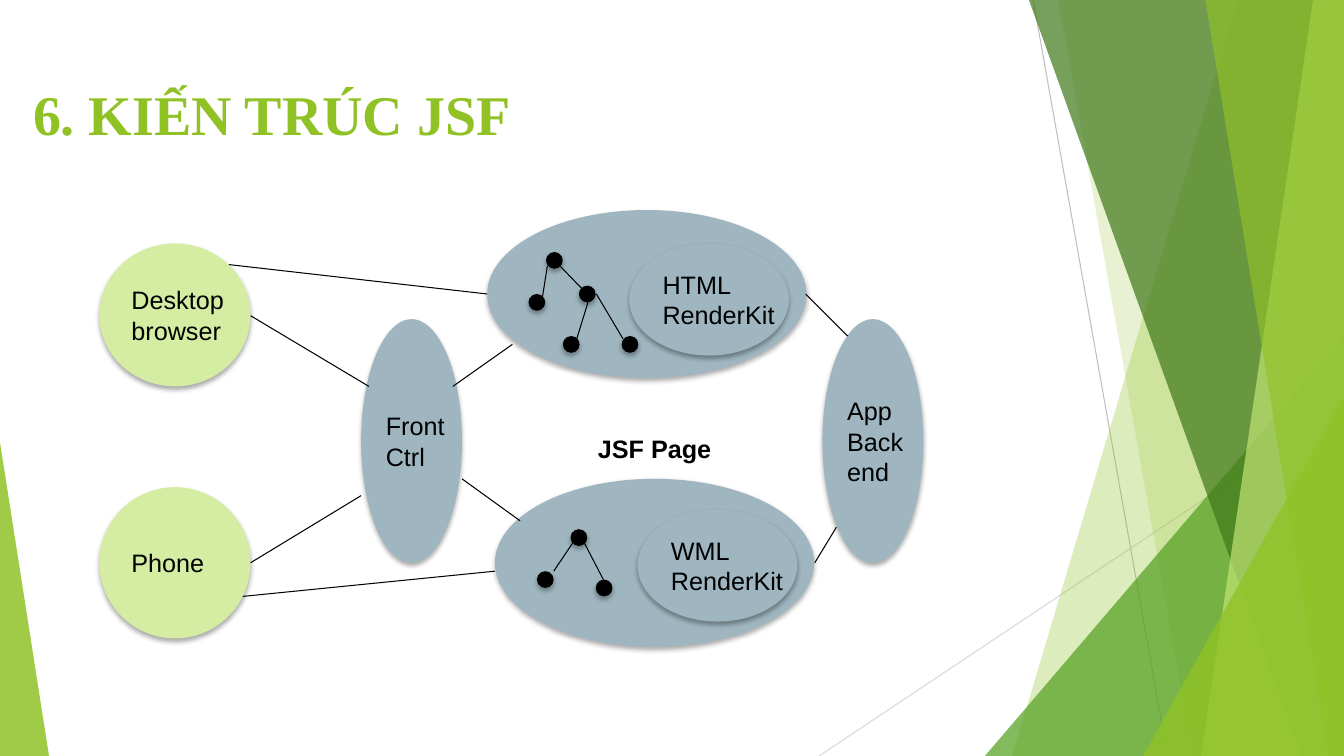
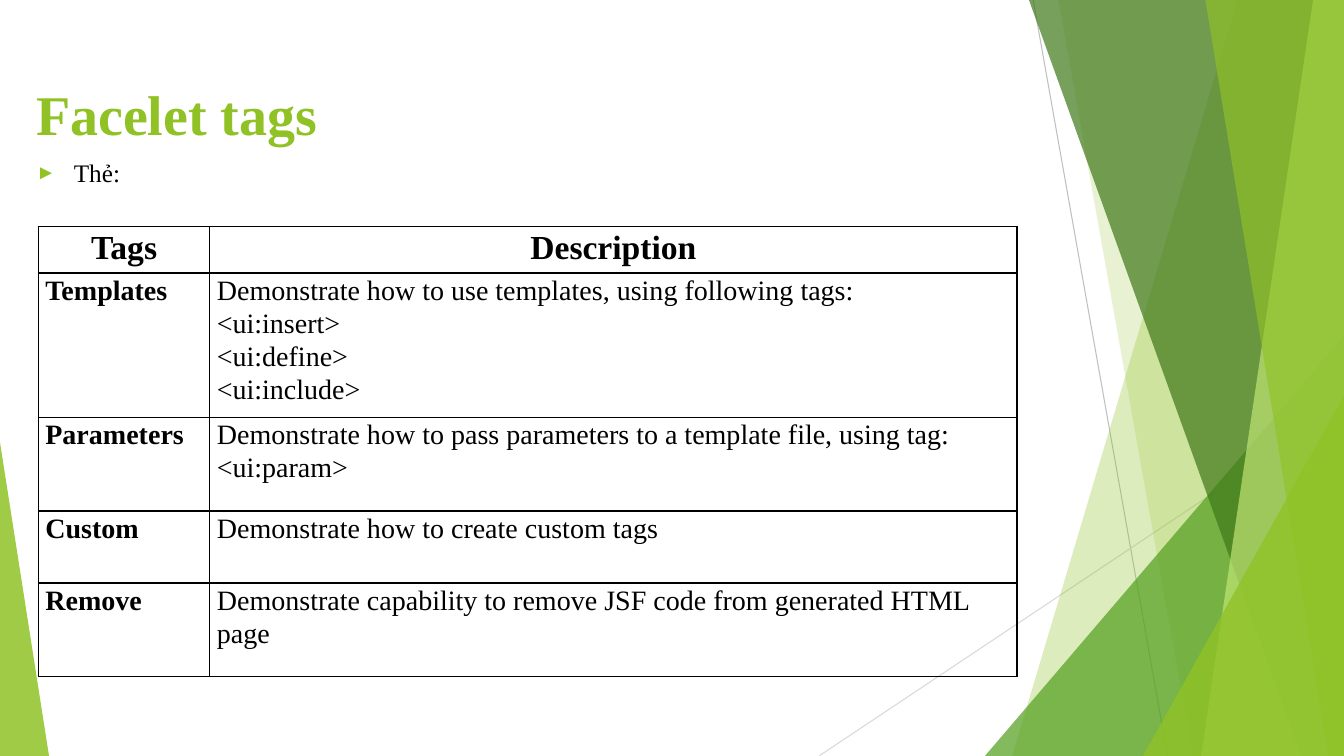
import lxml.etree
import pptx
import pptx.dml.color
import pptx.enum.shapes
import pptx.enum.text
import pptx.oxml.ns
import pptx.util

Pt = pptx.util.Pt
RGBColor = pptx.dml.color.RGBColor
Shape = pptx.enum.shapes.MSO_SHAPE
Align = pptx.enum.text.PP_ALIGN
Anchor = pptx.enum.text.MSO_ANCHOR
qn = pptx.oxml.ns.qn

WIDTH, HEIGHT = 960, 540
GREEN = RGBColor(0x90, 0xC2, 0x26)
MID_GREEN = RGBColor(0x54, 0xA0, 0x21)
DARK_GREEN = RGBColor(0x3F, 0x78, 0x19)
LIGHT_GREEN = RGBColor(0xC0, 0xE4, 0x74)
CLIENT_GREEN = RGBColor(0xD5, 0xED, 0xA2)
BLUE_GREY = RGBColor(0x9F, 0xB6, 0xC0)
GREY = RGBColor(0xBF, 0xBF, 0xBF)
PALE_GREY = RGBColor(0xD9, 0xD9, 0xD9)
BLACK = RGBColor(0, 0, 0)
SERIF, SANS = "Times New Roman", "Arial"


# Basic parts
def add_xml(parent, tag, **attributes):
    texts = {name: str(value) for name, value in attributes.items()}
    return lxml.etree.SubElement(parent, qn(tag), texts)


def paint(shape, color, opacity=100):
    shape.shadow.inherit = False
    shape.line.fill.background()
    shape.fill.solid()
    shape.fill.fore_color.rgb = color
    if opacity < 100:
        color_node = shape._element.spPr.find(qn("a:solidFill"))[0]
        add_xml(color_node, "a:alpha", val=opacity * 1000)


def add_line(slide, start, end, color=BLACK):
    line = slide.shapes.add_connector(
        pptx.enum.shapes.MSO_CONNECTOR.STRAIGHT,
        *(Pt(value) for value in (*start, *end)))
    line.line.color.rgb = color
    line.line.width = Pt(0.75)
    add_xml(line._element.spPr, "a:effectLst")


def write(text_frame, text, size, font=SERIF, bold=False, color=BLACK,
          align=Align.LEFT, spacing=None):
    text_frame.text = text
    for paragraph in text_frame.paragraphs:
        paragraph.alignment = align
        paragraph.line_spacing = spacing
        for run in paragraph.runs:
            run.font.size = Pt(size)
            run.font.name = font
            run.font.bold = bold
            run.font.color.rgb = color


def add_text(slide, box, text, size, margin_top=3.6, **style):
    text_box = slide.shapes.add_textbox(*(Pt(value) for value in box))
    text_frame = text_box.text_frame
    text_frame.word_wrap = True
    text_frame.margin_top = Pt(margin_top)
    write(text_frame, text, size, **style)
    return text_frame


def add_ellipse(slide, box, color, text=""):
    ellipse = slide.shapes.add_shape(Shape.OVAL, *(Pt(value) for value in box))
    paint(ellipse, color)
    effects = ellipse._element.spPr.find(qn("a:effectLst"))
    shadow = add_xml(effects, "a:outerShdw", blurRad=Pt(3.5), dist=Pt(2.2),
                     dir=5400000, rotWithShape=0)
    shadow_color = add_xml(shadow, "a:srgbClr", val=BLACK)
    add_xml(shadow_color, "a:alpha", val=32000)
    if text:
        ellipse.text_frame.word_wrap = False
        ellipse.text_frame.vertical_anchor = Anchor.MIDDLE
        write(ellipse.text_frame, text, 18, SANS)


# Shared background and title
def add_band(slide, top_left, top_right, bottom_right, bottom_left, color, opacity):
    outline = slide.shapes.build_freeform(Pt(top_left), 0)
    outline.add_line_segments([(Pt(top_right), 0), (Pt(bottom_right), Pt(HEIGHT)),
                               (Pt(bottom_left), Pt(HEIGHT))])
    paint(outline.convert_to_shape(), color, opacity)


def add_corner(slide, left, top, width, peak, color, opacity):
    corner = slide.shapes.add_shape(Shape.ISOSCELES_TRIANGLE, Pt(left), Pt(top),
                                    Pt(width), Pt(HEIGHT - top))
    corner.adjustments[0] = peak
    paint(corner, color, opacity)


def add_background(slide):
    add_line(slide, (738, 0), (834, HEIGHT), GREY)
    add_line(slide, (WIDTH, 290), (585, HEIGHT), PALE_GREY)
    add_band(slide, 884, WIDTH, WIDTH, 723, GREEN, 30)
    add_band(slide, 756, WIDTH, WIDTH, 852, GREEN, 20)
    add_corner(slide, 703.5, 240, 256.5, 1, MID_GREEN, 72)
    add_band(slide, 735, WIDTH, WIDTH, 929.5, DARK_GREEN, 70)
    add_band(slide, 938, WIDTH, WIDTH, 858, LIGHT_GREEN, 70)
    add_band(slide, 861, WIDTH, WIDTH, 949, GREEN, 65)
    add_corner(slide, 816.5, 283, 143.5, 1, GREEN, 80)
    add_corner(slide, 0, 316, 35, 0, GREEN, 85)


def add_titled_slide(presentation, title, left):
    slide = presentation.slides.add_slide(presentation.slide_layouts[6])
    add_background(slide)
    add_text(slide, (left, 48, 677, 104), title, 40, margin_top=9,
             bold=True, color=GREEN)
    return slide


# Architecture diagram
def add_page(slide, left, top, kit, kit_offset, nodes, edges):
    add_ellipse(slide, (left, top, 228, 120), BLUE_GREY)
    kit_x, kit_y = kit_offset
    add_ellipse(slide, (left + kit_x, top + kit_y, 114, 80), BLUE_GREY, kit)
    for x, y in nodes:
        add_ellipse(slide, (left + x, top + y, 12, 12), BLACK)
    for x1, y1, x2, y2 in edges:
        add_line(slide, (left + x1, top + y1), (left + x2, top + y2))


def add_architecture(slide, left, top):
    add_page(slide, left + 277, top, "HTML\nRenderKit", (101.5, 24),
             [(42, 30), (29.5, 60), (65.5, 54), (54, 90), (96, 90)],
             [(43, 40, 39.5, 62), (52, 40, 67.5, 56),
              (72, 66, 64, 92), (78, 60, 97, 92)])
    add_page(slide, left + 282.5, top + 192, "WML\nRenderKit", (102, 22),
             [(54, 36), (30, 66), (72, 72)],
             [(55.5, 46, 42, 66), (64, 46, 77.5, 72)])

    parts = [
        (187, 78, 72, 174, BLUE_GREY, "Front\nCtrl"),
        (516.5, 78, 72, 174, BLUE_GREY, "App\nBack\nend"),
        (0, 24, 108, 102, CLIENT_GREEN, "Desktop\nbrowser"),
        (0, 198, 108, 108, CLIENT_GREEN, "Phone"),
    ]
    for x, y, width, height, color, text in parts:
        add_ellipse(slide, (left + x, top + y, width, height), color, text)
    add_text(slide, (left + 349, top + 156, 102, 29), "JSF Page", 18,
             font=SANS, bold=True)

    links = [
        (92.5, 39, 277, 60), (108, 75.5, 192.5, 126),
        (108, 252, 187, 204), (252.5, 126, 295, 96),
        (259, 192, 300.5, 222), (102.5, 276, 282.5, 258),
        (504.5, 60, 534.5, 90), (511, 252, 526.5, 226.5),
    ]
    for x1, y1, x2, y2 in links:
        add_line(slide, (left + x1, top + y1), (left + x2, top + y2))


# Bullet and tag table
def add_bullet(slide, box, text):
    text_frame = add_text(slide, box, text, 18, margin_top=6)
    properties = text_frame.paragraphs[0]._p.get_or_add_pPr()
    properties.set("marL", str(Pt(27)))
    properties.set("indent", str(-Pt(27)))
    bullet_color = add_xml(properties, "a:buClr")
    add_xml(bullet_color, "a:srgbClr", val=GREEN)
    add_xml(properties, "a:buSzPct", val=80000)
    add_xml(properties, "a:buFont", typeface=SANS)
    add_xml(properties, "a:buChar", char="►")


def style_cell(cell):
    cell.margin_left = cell.margin_right = Pt(5)
    cell.margin_top = cell.margin_bottom = 0
    properties = cell._tc.get_or_add_tcPr()
    for side in ("a:lnL", "a:lnR", "a:lnT", "a:lnB"):
        border = add_xml(properties, side, w=Pt(1))
        add_xml(add_xml(border, "a:solidFill"), "a:srgbClr", val=BLACK)
    cell.fill.background()


def add_tag_table(slide, left, top, rows, widths, heights):
    frame = slide.shapes.add_table(len(rows), len(widths), Pt(left), Pt(top),
                                   Pt(sum(widths)), Pt(sum(heights)))
    table = frame.table
    table.first_row = table.horz_banding = False
    for column, width in zip(table.columns, widths):
        column.width = Pt(width)
    for row_index, (texts, height) in enumerate(zip(rows, heights)):
        table.rows[row_index].height = Pt(height)
        header = row_index == 0
        for column_index, text in enumerate(texts):
            cell = table.cell(row_index, column_index)
            style_cell(cell)
            write(cell.text_frame, text, 24 if header else 20,
                  bold=header or column_index == 0,
                  align=Align.CENTER if header else Align.LEFT, spacing=1.07)


TAG_ROWS = [
    ("Tags", "Description"),
    ("Templates", "Demonstrate how to use templates, using following tags:\n"
                  "<ui:insert>\n<ui:define>\n<ui:include>"),
    ("Parameters", "Demonstrate how to pass parameters to a template file, "
                   "using tag:\n<ui:param>"),
    ("Custom", "Demonstrate how to create custom tags"),
    ("Remove", "Demonstrate capability to remove JSF code from generated HTML page"),
]

presentation = pptx.Presentation()
presentation.slide_width, presentation.slide_height = Pt(WIDTH), Pt(HEIGHT)

architecture_slide = add_titled_slide(presentation, "6. KIẾN TRÚC JSF", 16.5)
add_architecture(architecture_slide, 71, 150)

tags_slide = add_titled_slide(presentation, "Facelet tags", 18.7)
add_bullet(tags_slide, (18.7, 106.5, 731, 348), "Thẻ:")
add_tag_table(tags_slide, 27.4, 162, TAG_ROWS, (122.5, 576.5),
              (33, 103, 67, 51.5, 67))

presentation.save("out.pptx")
